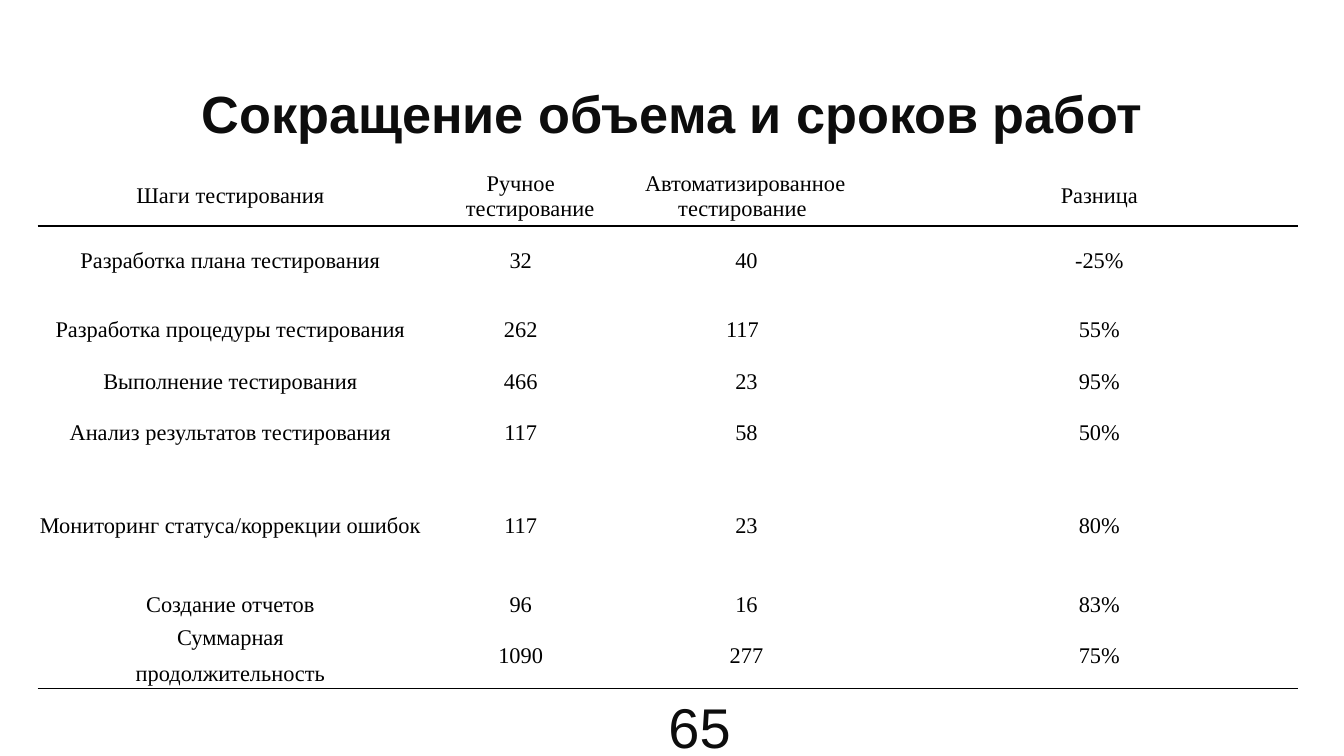
from lxml import etree
from pptx import Presentation
from pptx.dml.color import RGBColor
from pptx.enum.text import MSO_ANCHOR as Anchor, PP_ALIGN as Align
from pptx.oxml.ns import qn
from pptx.util import Inches, Pt

COLORS = {"title": "0D0D0D", "text": "000000", "line": "000000", "cell": "FFFFFF"}
NO_STYLE_NO_GRID = "{2D5ABB26-0587-4C30-8999-92F81FD0307C}"

COL_WIDTHS = [2.87, 1.45, 1.85, 3.21]
COL_MARGINS = [0.07, 0.14, 0.31, 0.5]
ROW_HEIGHTS = [0.44, 0.53, 0.49, 0.28, 0.48, 0.91, 0.27, 0.46]
ROWS = [
    ["Шаги тестирования", "Ручное тестирование", " Автоматизированное тестирование", "Разница"],
    ["Разработка плана тестирования", "32", "40", "-25%"],
    ["Разработка процедуры тестирования", "262", "117", "55%"],
    ["Выполнение тестирования", "466", "23", "95%"],
    ["Анализ результатов тестирования", "117", "58", "50%"],
    ["Мониторинг статуса/коррекции ошибок", "117", "23", "80%"],
    ["Создание отчетов", "96", "16", "83%"],
    ["Суммарная\nпродолжительность", "1090", "277", "75%"],
]
# Cells whose left margin and first-line indent differ from their column
INDENTS = {(0, 2): (0, 0), (2, 2): (0, -0.25)}


def add_text(slide, text, box, size, anchor, bold=False):
    tf = slide.shapes.add_textbox(*map(Inches, box)).text_frame
    tf.word_wrap = True
    tf.vertical_anchor = anchor
    tf.margin_left = tf.margin_right = tf.margin_top = tf.margin_bottom = Inches(0.1)
    p = tf.paragraphs[0]
    p.text = text
    p.alignment = Align.CENTER
    p.font.name, p.font.size, p.font.bold = "Arial", Pt(size), bold
    p.font.color.rgb = RGBColor.from_string(COLORS["title"])


def set_borders(cell, visible):
    """Draw 1 pt lines on the visible sides and switch the others off."""
    tcPr = cell._tc.get_or_add_tcPr()
    for n, side in enumerate(("lnL", "lnR", "lnT", "lnB")):
        ln = etree.Element(qn(f"a:{side}"), w=str(Pt(1)))
        if side in visible:
            fill = etree.SubElement(ln, qn("a:solidFill"))
            etree.SubElement(fill, qn("a:srgbClr"), val=COLORS["line"])
        else:
            etree.SubElement(ln, qn("a:noFill"))
        tcPr.insert(n, ln)


prs = Presentation()
prs.slide_width = Inches(10)
prs.slide_height = prs.slide_width * 9 // 16
s = prs.slides.add_slide(prs.slide_layouts[6])

add_text(s, "Сокращение объема и сроков работ", (0.5, 0.23, 9, 0.94), 28, Anchor.BOTTOM, bold=True)
add_text(s, "65", (4.7, 5.19, 1.01, 0.43), 30, Anchor.MIDDLE)

frame = s.shapes.add_table(len(ROWS), len(COL_WIDTHS), Inches(0.28), Inches(1.24),
                           Inches(sum(COL_WIDTHS)), Inches(sum(ROW_HEIGHTS)))
table = frame.table
table.first_row = table.horz_banding = False
table._tbl.tblPr.find(qn("a:tableStyleId")).text = NO_STYLE_NO_GRID
for column, width in zip(table.columns, COL_WIDTHS):
    column.width = Inches(width)
for row, height in zip(table.rows, ROW_HEIGHTS):
    row.height = Inches(height)

ruled_sides = {0: ["lnB"], 1: ["lnT"], len(ROWS) - 1: ["lnB"]}
for i, texts in enumerate(ROWS):
    for j, text in enumerate(texts):
        cell = table.cell(i, j)
        cell.margin_left = cell.margin_right = cell.margin_top = cell.margin_bottom = 0
        cell.vertical_anchor = Anchor.MIDDLE
        cell.fill.solid()
        cell.fill.fore_color.rgb = RGBColor.from_string(COLORS["cell"])
        set_borders(cell, ruled_sides.get(i, []))

        tf = cell.text_frame
        tf.text = text
        margin, indent = INDENTS.get((i, j), (COL_MARGINS[j], -0.25))
        for n, p in enumerate(tf.paragraphs):
            p.alignment = Align.CENTER
            p.font.name, p.font.size = "Times New Roman", Pt(12)
            p.font.color.rgb = RGBColor.from_string(COLORS["text"])
            pPr = p._p.get_or_add_pPr()
            pPr.set("marL", str(Inches(margin)))
            pPr.set("indent", str(Inches(indent)))
            if indent:
                p.space_before = Pt(3 if n else 30)
        if len(tf.paragraphs) > 1 or text == "Разница":
            tf.paragraphs[0].space_after = Pt(3)

prs.save("out.pptx")
